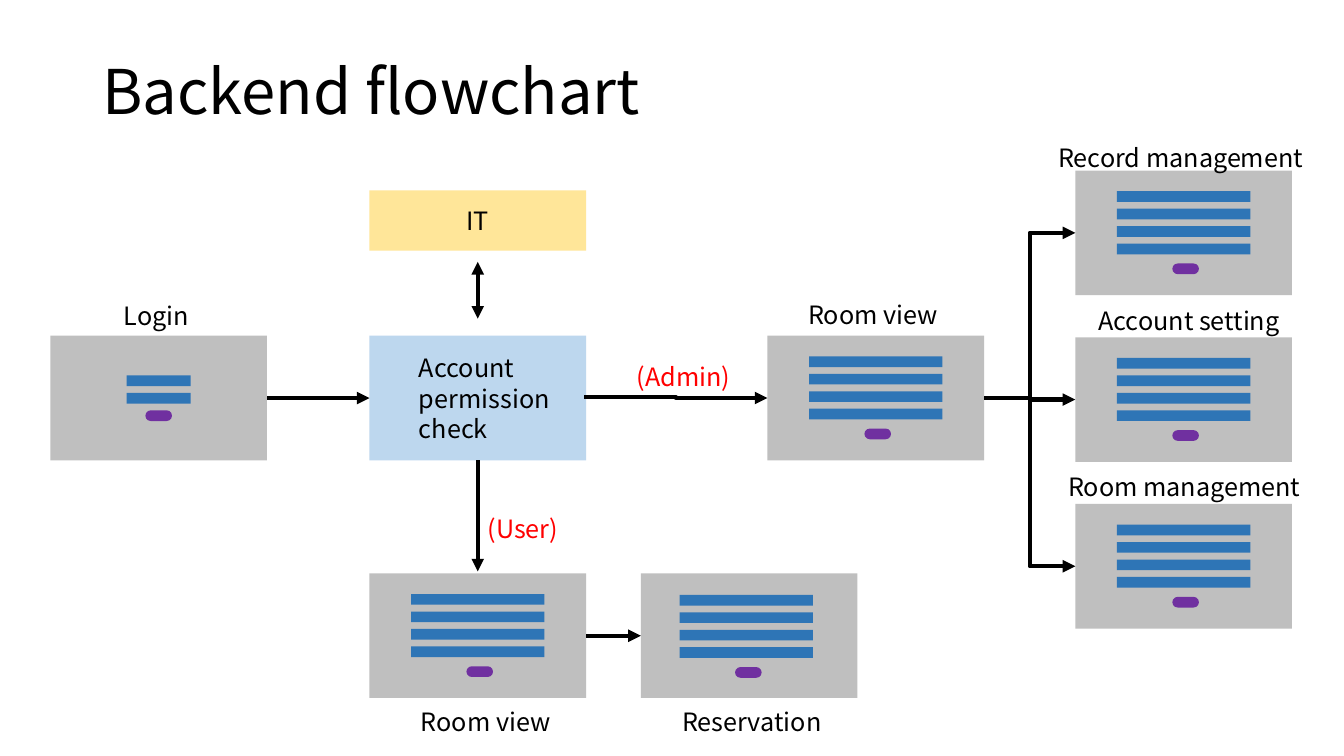
from dataclasses import dataclass
from typing import Any

from lxml import etree
from pptx import Presentation
from pptx import util as u
from pptx.dml.color import RGBColor
from pptx.enum import shapes, text
from pptx.oxml.ns import qn

FONT = "Noto Sans CJK SC"
BLACK = RGBColor(0x00, 0x00, 0x00)
RED = RGBColor(0xFF, 0x00, 0x00)
GREY = RGBColor(0xBF, 0xBF, 0xBF)
PALE_BLUE = RGBColor(0xBD, 0xD7, 0xEE)
YELLOW = RGBColor(0xFF, 0xE6, 0x99)
BLUE = RGBColor(0x2E, 0x75, 0xB6)
PURPLE = RGBColor(0x70, 0x30, 0xA0)

SCREEN_WIDTH, SCREEN_HEIGHT = 5.46, 3.14
BAR_HEIGHT, BAR_PITCH = 0.27, 0.44
BUTTON_WIDTH = 0.67
LINE_HEIGHT = 0.76
MIDDLE_TOP, BOTTOM_TOP = 8.46, 14.45
RIGHT_LEFT, RIGHT_TOP, RIGHT_PITCH = 27.1, 4.3, 4.2
CHECK_LEFT, ROOM_LEFT, RESERVATION_LEFT, LOGIN_LEFT = 9.31, 19.34, 16.15, 1.27
MIDDLE_Y = MIDDLE_TOP + SCREEN_HEIGHT / 2
BOTTOM_Y = BOTTOM_TOP + SCREEN_HEIGHT / 2
CHECK_X = CHECK_LEFT + SCREEN_WIDTH / 2

STRAIGHT = shapes.MSO_CONNECTOR.STRAIGHT
ELBOW = shapes.MSO_CONNECTOR.ELBOW
RECTANGLE = shapes.MSO_SHAPE.RECTANGLE
ROUNDED = shapes.MSO_SHAPE.ROUNDED_RECTANGLE


@dataclass
class Screen:
    left: float
    top: float
    bars: int = 4
    bar_width: float = 3.36
    bar_top: float = 0.52
    button_gap: float = 0.5
    button_shift: float = 0.05
    shift: float = 0


@dataclass
class Label:
    left: float
    top: float
    width: float
    lines: tuple[str, ...]
    color: RGBColor = BLACK


@dataclass
class Arrow:
    start: tuple[float, float]
    end: tuple[float, float]
    kind: Any = STRAIGHT
    ends: tuple[str, ...] = ("tailEnd",)


def apply(target: Any, values: dict[str, Any]) -> None:
    for name, value in values.items():
        setattr(target, name, value)


def write(para: Any, words: str, size: float, color: RGBColor) -> None:
    span = para.add_run()
    span.text = words
    apply(span.font, {"name": FONT, "size": u.Pt(size)})
    span.font.color.rgb = color


def draw_block(page: Any, left: float, top: float, width: float, height: float,
               color: RGBColor, kind: Any = RECTANGLE) -> Any:
    block = page.shapes.add_shape(kind, u.Cm(left), u.Cm(top), u.Cm(width), u.Cm(height))
    block.shadow.inherit = False
    block.fill.solid()
    block.fill.fore_color.rgb = color
    block.line.fill.background()
    return block


def draw_screen(page: Any, screen: Screen) -> None:
    draw_block(page, screen.left, screen.top, SCREEN_WIDTH, SCREEN_HEIGHT, GREY)
    center = screen.left + SCREEN_WIDTH / 2 + screen.shift
    first = screen.top + screen.bar_top
    for row in range(screen.bars):
        draw_block(page, center - screen.bar_width / 2, first + row * BAR_PITCH,
                   screen.bar_width, BAR_HEIGHT, BLUE)
    button_top = first + (screen.bars - 1) * BAR_PITCH + screen.button_gap
    button = draw_block(page, center + screen.button_shift - BUTTON_WIDTH / 2, button_top,
                        BUTTON_WIDTH, BAR_HEIGHT, PURPLE, ROUNDED)
    button.adjustments[0] = 0.5


def draw_label(page: Any, label: Label) -> None:
    height = len(label.lines) * LINE_HEIGHT + 0.26
    box = page.shapes.add_textbox(u.Cm(label.left), u.Cm(label.top), u.Cm(label.width), u.Cm(height))
    frame = box.text_frame
    apply(frame, {"word_wrap": False, "auto_size": text.MSO_AUTO_SIZE.SHAPE_TO_FIT_TEXT})
    for number, words in enumerate(label.lines):
        para = frame.add_paragraph() if number else frame.paragraphs[0]
        para.line_spacing = u.Pt(21.6)
        write(para, words, 18, label.color)


def draw_arrow(page: Any, arrow: Arrow) -> None:
    points = [u.Cm(value) for value in (*arrow.start, *arrow.end)]
    connector = page.shapes.add_connector(arrow.kind, *points)
    connector.line.width = u.Pt(3)
    connector.line.color.rgb = BLACK
    properties = connector.element.spPr
    outline = properties.find(qn("a:ln"))
    for end in arrow.ends:
        etree.SubElement(outline, qn(f"a:{end}"), type="triangle")
    etree.SubElement(properties, qn("a:effectLst"))


def draw_title(page: Any, words: str) -> None:
    box = page.shapes.add_textbox(u.Cm(2.33), u.Cm(1.01), u.Cm(29.21), u.Cm(2.77))
    apply(box.text_frame, {"word_wrap": True, "vertical_anchor": text.MSO_ANCHOR.MIDDLE})
    para = box.text_frame.paragraphs[0]
    para.line_spacing = 0.9
    write(para, words, 44, BLACK)


SCREENS = [
    Screen(LOGIN_LEFT, MIDDLE_TOP, bars=2, bar_width=1.61, bar_top=1,
           button_gap=BAR_PITCH, button_shift=0),
    Screen(ROOM_LEFT, MIDDLE_TOP),
    Screen(CHECK_LEFT, BOTTOM_TOP),
    Screen(RESERVATION_LEFT, BOTTOM_TOP, bar_top=0.54, shift=-0.07),
    *(Screen(RIGHT_LEFT, RIGHT_TOP + row * RIGHT_PITCH) for row in range(3)),
]

LABELS = [
    Label(2.87, 7.44, 2.24, ("Login",)),
    Label(10.31, 8.76, 4.06, ("Account", "permission", "check")),
    Label(12.04, 12.8, 2.34, ("(User)",), RED),
    Label(15.8, 8.97, 2.97, ("(Admin)",), RED),
    Label(20.12, 7.42, 3.91, ("Room view",)),
    Label(10.36, 17.68, 3.91, ("Room view",)),
    Label(16.94, 17.68, 4.11, ("Reservation",)),
    Label(26.42, 3.45, 6.93, ("Record management",)),
    Label(27.43, 7.57, 5.36, ("Account setting",)),
    Label(26.67, 11.76, 6.6, ("Room management",)),
]

ARROWS = [
    Arrow((LOGIN_LEFT + SCREEN_WIDTH, MIDDLE_Y), (CHECK_LEFT, MIDDLE_Y)),
    Arrow((CHECK_LEFT + SCREEN_WIDTH - 0.04, MIDDLE_Y - 0.02), (ROOM_LEFT, MIDDLE_Y), ELBOW),
    Arrow((CHECK_X, MIDDLE_TOP + SCREEN_HEIGHT), (CHECK_X, BOTTOM_TOP - 0.05)),
    Arrow((CHECK_LEFT + SCREEN_WIDTH, BOTTOM_Y), (RESERVATION_LEFT, BOTTOM_Y)),
    Arrow((CHECK_X, 6.6), (CHECK_X, 8.03), ends=("headEnd", "tailEnd")),
    *(Arrow((ROOM_LEFT + SCREEN_WIDTH, MIDDLE_Y),
            (RIGHT_LEFT, RIGHT_TOP + row * RIGHT_PITCH + SCREEN_HEIGHT / 2), ELBOW)
      for row in range(3)),
]

deck = Presentation()
apply(deck, {"slide_width": u.Cm(33.87), "slide_height": u.Cm(19.05)})
page = deck.slides.add_slide(deck.slide_layouts[6])

draw_title(page, "Backend flowchart")
draw_block(page, CHECK_LEFT, MIDDLE_TOP, SCREEN_WIDTH, SCREEN_HEIGHT, PALE_BLUE)
department = draw_block(page, CHECK_LEFT, 4.8, SCREEN_WIDTH, 1.52, YELLOW)
department.text_frame.vertical_anchor = text.MSO_ANCHOR.MIDDLE
department_para = department.text_frame.paragraphs[0]
department_para.alignment = text.PP_ALIGN.CENTER
write(department_para, "IT", 18, BLACK)

for screen in SCREENS:
    draw_screen(page, screen)
for arrow in ARROWS:
    draw_arrow(page, arrow)
for label in LABELS:
    draw_label(page, label)

deck.save("out.pptx")
